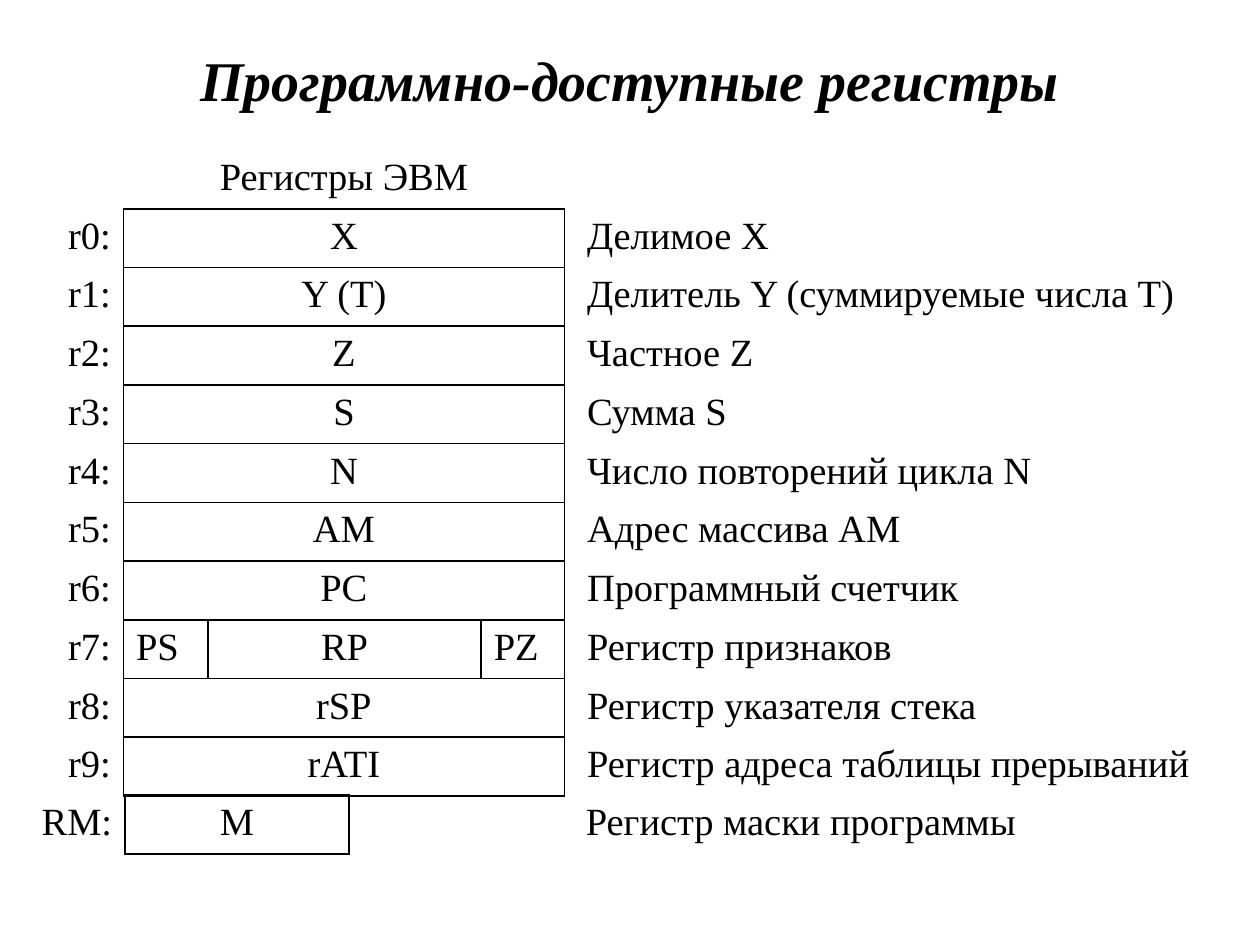
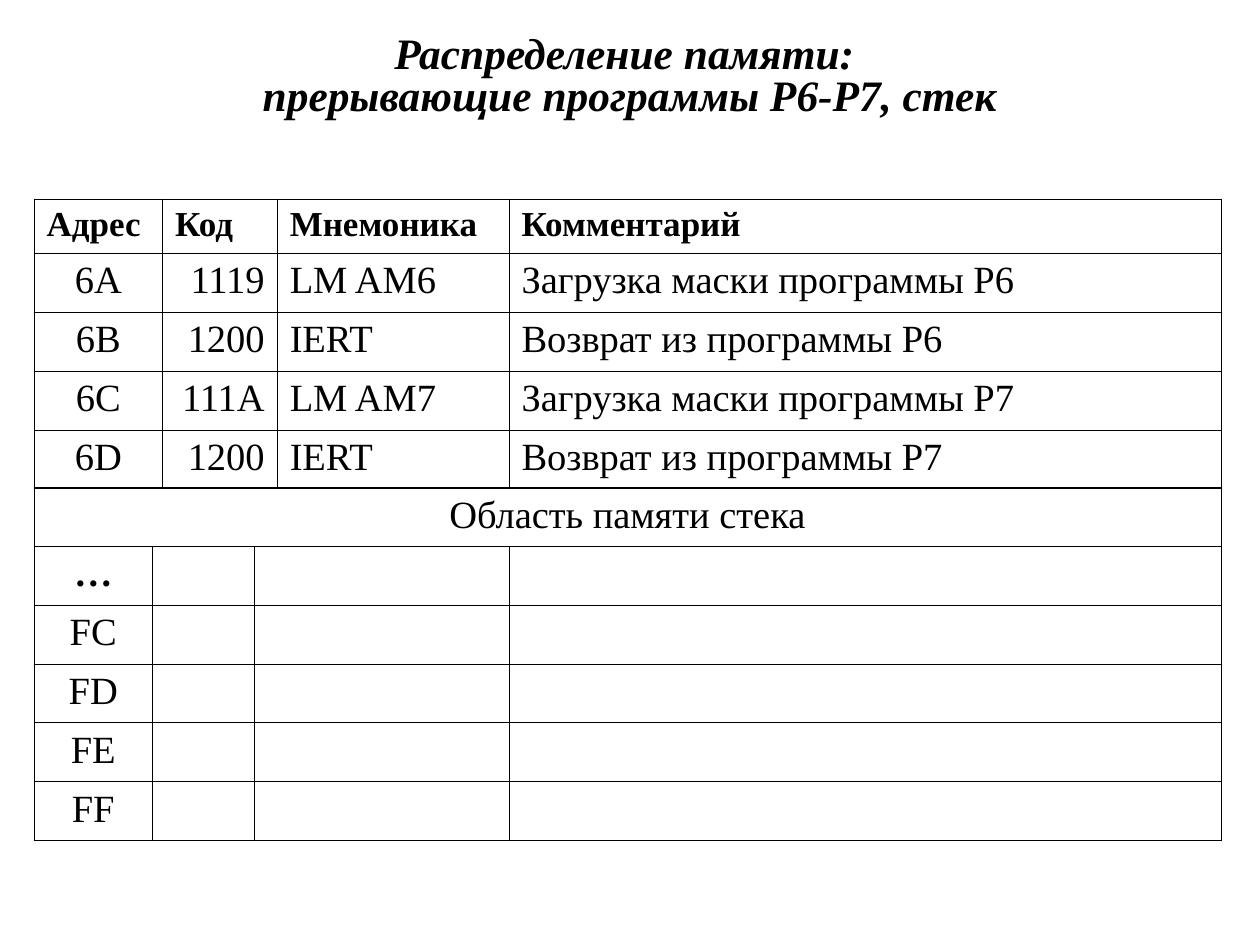
from dataclasses import dataclass

from lxml.etree import SubElement
from pptx import Presentation
from pptx.dml.color import RGBColor
from pptx.enum.text import MSO_ANCHOR as Anchor, MSO_AUTO_SIZE as AutoSize, PP_ALIGN as Align
from pptx.oxml import parse_xml
from pptx.oxml.ns import nsdecls, qn
from pptx.util import Inches, Pt


@dataclass(frozen=True)
class Theme:
    ink: str = "000000"
    paper: str = "FFFFFF"
    font: str = "Times New Roman"
    title: float = 32
    long_title: float = 24.8
    head: float = 20
    body: float = 22
    box_line: float = 1.08
    grid_line: float = 0.45
    plain_table: str = "{2D5ABB26-0587-4C30-8999-92F81FD0307C}"


THEME = Theme()
ALL_EDGES = "LRTB"
TITLE_ONLY = 5

REGISTERS = [
    ("r0:", "X", "Делимое X"),
    ("r1:", "Y (T)", "Делитель Y (суммируемые числа T)"),
    ("r2:", "Z", "Частное Z"),
    ("r3:", "S", "Сумма S"),
    ("r4:", "N", "Число повторений цикла N"),
    ("r5:", "AM", "Адрес массива AM"),
    ("r6:", "PC", "Программный счетчик"),
    ("r7:", ("PS", "RP", "PZ"), "Регистр признаков"),
    ("r8:", "rSP", "Регистр указателя стека"),
    ("r9:", "rATI", "Регистр адреса таблицы прерываний"),
]
PROGRAM_HEAD = ("Адрес", "Код", "Мнемоника", "Комментарий")
PROGRAM = [
    ("6A", "1119", "LM AM6", "Загрузка маски программы P6"),
    ("6B", "1200", "IERT", "Возврат из программы P6"),
    ("6C", "111A", "LM AM7", "Загрузка маски программы P7"),
    ("6D", "1200", "IERT", "Возврат из программы P7"),
]
STACK = ("…", "FC", "FD", "FE", "FF")


def style_font(font, **values):
    """Apply the shared typeface and colour, then the given values."""
    for key, value in {"name": THEME.font, **values}.items():
        setattr(font, key, value)
    font.color.rgb = RGBColor.from_string(THEME.ink)


def add_titled_slide(prs, title, box, size, spacing=1.0):
    slide = prs.slides.add_slide(prs.slide_layouts[TITLE_ONLY])
    slide.background.fill.solid()
    slide.background.fill.fore_color.rgb = RGBColor.from_string(THEME.paper)
    heading = slide.shapes.title
    for key, value in zip(("left", "top", "width", "height"), box):
        setattr(heading, key, Inches(value))
    frame = heading.text_frame
    frame.text = title
    frame_format = {"word_wrap": True, "auto_size": AutoSize.NONE,
                    "vertical_anchor": Anchor.MIDDLE}
    for key, value in frame_format.items():
        setattr(frame, key, value)
    line = frame.paragraphs[0]
    line.alignment, line.line_spacing = Align.CENTER, spacing
    for run in line.runs:
        style_font(run.font, size=Pt(size), bold=True, italic=True)
    return slide


def add_plain_table(slide, box, columns, rows, head_height=None):
    """Unstyled table; rows share the height left by an optional header."""
    left, top, width, height = map(Inches, box)
    table = slide.shapes.add_table(rows, len(columns), left, top, width, height).table
    for flag in ("first_row", "horz_banding"):
        setattr(table, flag, False)
    table._tbl.tblPr.find(qn("a:tableStyleId")).text = THEME.plain_table
    for column, column_width in zip(table.columns, columns):
        column.width = Inches(column_width)
    head = Inches(head_height) if head_height else height // rows
    for index, row in enumerate(table.rows):
        row.height = (height - head) // max(rows - 1, 1) if index else head
    return table


def draw_edges(cell, edges, width):
    cell.fill.background()
    properties = cell._tc.get_or_add_tcPr()
    for index, edge in enumerate(ALL_EDGES):
        line = parse_xml(f'<a:ln{edge} {nsdecls("a")} w="{Pt(width)}"/>')
        if edge in edges:
            fill = SubElement(line, qn("a:solidFill"))
            SubElement(fill, qn("a:srgbClr")).set("val", THEME.ink)
        else:
            SubElement(line, qn("a:noFill"))
        properties.insert(index, line)


def fill_cell(cell, text="", align=Align.JUSTIFY, edges=ALL_EDGES,
              width=THEME.grid_line, size=THEME.body, bold=False, indent=0.1):
    draw_edges(cell, edges, width)
    cell.margin_left = Inches(indent)
    if text:
        cell.text = text
        line = cell.text_frame.paragraphs[0]
        line.alignment = align
        style_font(line.runs[0].font, size=Pt(size), bold=bold)


def fill_register_cell(cell, text="", align=Align.CENTER, edges=ALL_EDGES, indent=0.1):
    fill_cell(cell, text, align, edges, THEME.box_line, indent=indent)


def fill_register_sides(table, row, label, note, note_edges="L"):
    """Register name on the left, its meaning in the last column."""
    last = len(table.columns) - 1
    fill_register_cell(table.cell(row, 0), label, Align.RIGHT, "R")
    fill_register_cell(table.cell(row, last), note, Align.JUSTIFY, note_edges, 0.18)


def add_registers(slide, box):
    table = add_plain_table(slide, box, (0.86, 0.67, 2.17, 0.66, 5.28), len(REGISTERS) + 1)
    # Caption above the boxes
    for column in (0, 4):
        fill_register_cell(table.cell(0, column), edges="")
    rows = [("Регистры ЭВМ", "B")] + [(content, ALL_EDGES) for _, content, _ in REGISTERS]
    # Boxes, whole or split in three fields
    for row, (content, edges) in enumerate(rows):
        split = isinstance(content, tuple)
        if not split:
            table.cell(row, 1).merge(table.cell(row, 3))
        fields = content if split else (content, "", "")
        for column, field in enumerate(fields, 1):
            align = Align.JUSTIFY if split and column != 2 else Align.CENTER
            fill_register_cell(table.cell(row, column), field, align, edges)
    for row, (label, _, note) in enumerate(REGISTERS, 1):
        fill_register_sides(table, row, label, note)


def add_mask_register(slide, box):
    table = add_plain_table(slide, box, (0.83, 1.78, 1.7, 5.26), 1)
    fill_register_cell(table.cell(0, 1), "M")
    fill_register_cell(table.cell(0, 2), edges="L")
    fill_register_sides(table, 0, "RM:", "Регистр маски программы", "")


def add_program(slide, box):
    table = add_plain_table(slide, box, (1.02, 0.91, 1.84, 5.65), len(PROGRAM) + 1, 0.43)
    for column, name in enumerate(PROGRAM_HEAD):
        fill_cell(table.cell(0, column), name, size=THEME.head, bold=True)
    aligns = (Align.CENTER, Align.RIGHT, Align.LEFT, Align.JUSTIFY)
    for row, command in enumerate(PROGRAM, 1):
        for column, (text, align) in enumerate(zip(command, aligns)):
            fill_cell(table.cell(row, column), text, align)


def add_stack(slide, box):
    columns = (0.94, 0.81, 2.02, 5.65)
    table = add_plain_table(slide, box, columns, len(STACK) + 1)
    table.cell(0, 0).merge(table.cell(0, 3))
    for row, text in enumerate(("Область памяти стека",) + STACK):
        for column in range(len(columns)):
            fill_cell(table.cell(row, column), "" if column else text,
                      Align.CENTER, bold=text == "…")


def main():
    prs = Presentation()
    prs.slide_width, prs.slide_height = Inches(10), Inches(7.5)

    # Registers
    slide = add_titled_slide(prs, "Программно-доступные регистры",
                             (0.5, 0.3, 9, 0.65), THEME.title)
    add_registers(slide, (0.12, 1.19, 9.65, 5.13))
    add_mask_register(slide, (0.16, 6.31, 9.57, 0.47))

    # Memory map
    slide = add_titled_slide(prs, "Распределение памяти: \vпрерывающие программы Р6-Р7, стек",
                             (0, 0.13, 10, 0.98), THEME.long_title, 0.8)
    add_program(slide, (0.27, 1.58, 9.41, 2.3))
    add_stack(slide, (0.27, 3.87, 9.41, 2.8))

    prs.save("out.pptx")


if __name__ == "__main__":
    main()
